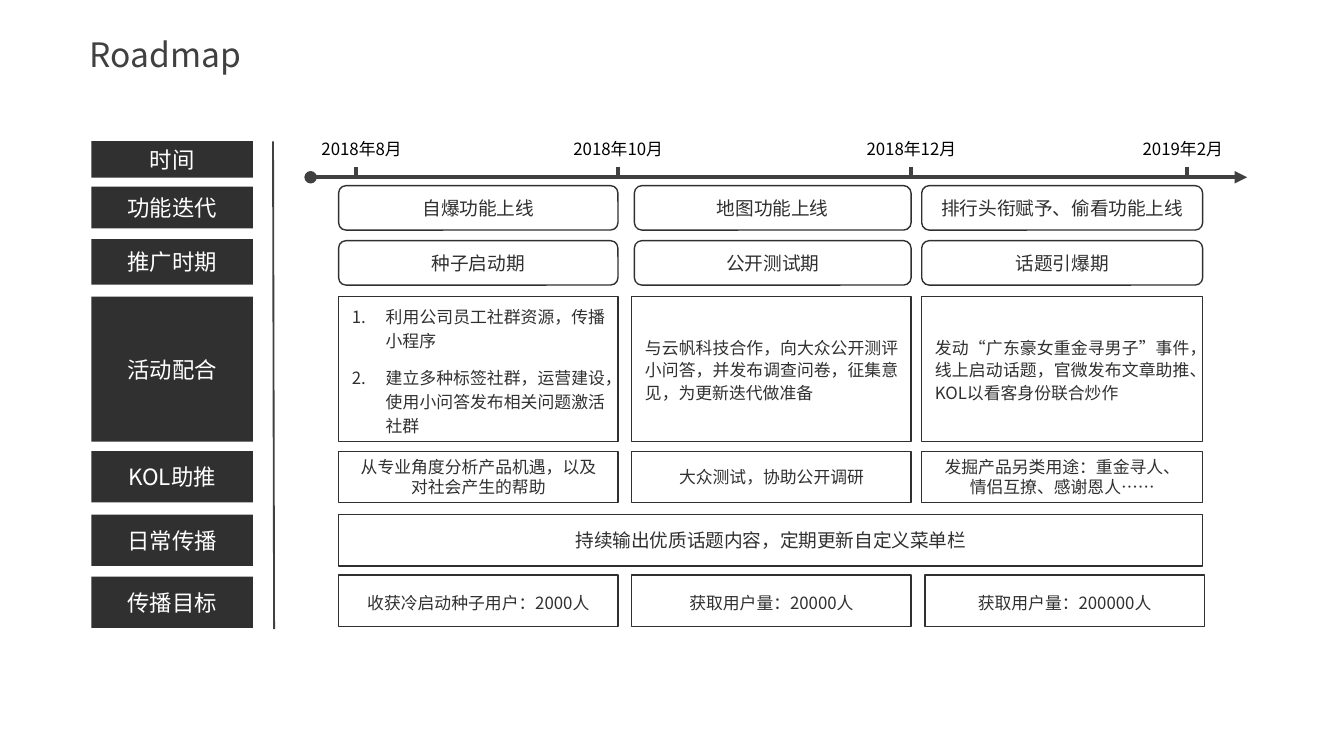
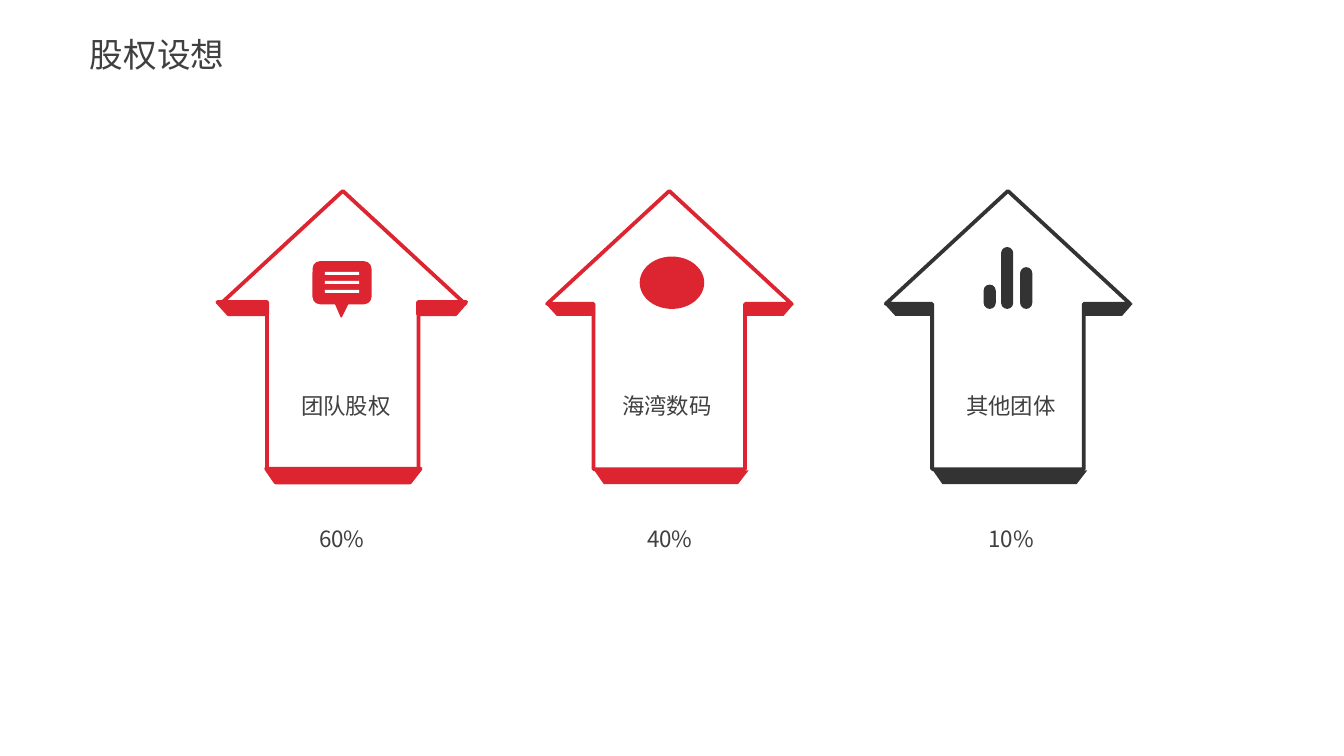
from lxml.etree import SubElement
from pptx import Presentation
from pptx.dml.color import RGBColor
from pptx.enum.shapes import MSO_CONNECTOR, MSO_SHAPE as SHAPE
from pptx.enum.text import MSO_ANCHOR as ANCHOR, PP_ALIGN as ALIGN
from pptx.oxml.ns import qn
from pptx.util import Cm, Pt

FONT = "Noto Sans CJK SC"
DARK, GREY, RED, CHARCOAL = "303030", "404040", "DD2431", "333333"
WHITE, BLACK = "FFFFFF", "000000"

# Roadmap: lengths in cm
LABEL_X, LABEL_W = 1.73, 3.05
COLUMNS = [(6.4, 5.28), (11.94, 5.28), (17.42, 5.31)]
ROUND_COLUMNS = [(6.4, 5.28), (11.99, 5.23), (17.42, 5.31)]
GOAL_COLUMNS = [(6.4, 5.28), (11.94, 5.28), (17.48, 5.28)]
FULL_WIDTH = [(6.4, 16.33)]

AXIS_Y = 3.35
MILESTONES = [  # tick x, date centre x, date
    (6.73, 6.83, "2018年8月"),
    (11.68, 11.68, "2018年10月"),
    (17.22, 17.22, "2018年12月"),
    (22.43, 22.35, "2019年2月"),
]

ROUNDED = dict(kind=SHAPE.ROUNDED_RECTANGLE, size=10)
PADDED = dict(insets=(0.38, 0.18))
ROWS = [  # label, label top and height, box top and height, columns, texts, format
    ("时间", (2.67, 0.69), None, [], [], {}),
    ("功能迭代", (3.53, 0.79), (3.51, 0.84), ROUND_COLUMNS,
     ["自爆功能上线", "地图功能上线", "排行头衔赋予、偷看功能上线"], ROUNDED),
    ("推广时期", (4.52, 0.86), (4.55, 0.84), ROUND_COLUMNS,
     ["种子启动期", "公开测试期", "话题引爆期"], ROUNDED),
    ("活动配合", (5.61, 2.74), (5.61, 2.74), COLUMNS,
     [["利用公司员工社群资源，传播小程序",
       "建立多种标签社群，运营建设，使用小问答发布相关问题激活社群"],
      "与云帆科技合作，向大众公开测评小问答，并发布调查问卷，征集意见，为更新迭代做准备",
      "发动“广东豪女重金寻男子”事件，线上启动话题，官微发布文章助推、KOL以看客身份联合炒作"],
     dict(align=ALIGN.JUSTIFY, spacing=1.1)),
    ("KOL助推", (8.53, 0.97), (8.53, 0.97), COLUMNS,
     ["从专业角度分析产品机遇，以及对社会产生的帮助", "大众测试，协助公开调研",
      "发掘产品另类用途：重金寻人、情侣互撩、感谢恩人……"], PADDED),
    ("日常传播", (9.73, 0.97), (9.73, 0.97), FULL_WIDTH,
     ["持续输出优质话题内容，定期更新自定义菜单栏"], dict(PADDED, size=10)),
    ("传播目标", (10.9, 0.97), (10.87, 0.97), GOAL_COLUMNS,
     ["收获冷启动种子用户：2000人", "获取用户量：20000人", "获取用户量：200000人"],
     dict(spacing=1.2)),
]

# Shares: arrow x, label x, percent x, label, percent, colour, facet outline
SHARES = [
    (4.17, 5.44, 4.01, "团队股权", "60%", RED, 2),
    (10.34, 11.51, 10.21, "海湾数码", "40%", RED, None),
    (16.74, 18.01, 16.66, "其他团体", "10%", CHARCOAL, None),
]
ARROW_Y, ARROW_W, ARROW_H = 3.61, 4.62, 5.26
FACETS = [  # thick undersides, measured from the arrow's corner
    [(3.76, 2.13), (4.67, 2.13), (4.47, 2.36), (3.76, 2.36)],
    [(-0.03, 2.13), (0.91, 2.13), (0.91, 2.36), (0.18, 2.36)],
    [(0.89, 5.28), (3.81, 5.28), (3.61, 5.54), (1.07, 5.54)],
]
BARS_BOTTOM = 5.84
BARS = [(18.59, 0.46), (18.92, 1.17), (19.28, 0.79)]


def rgb(color):
    return RGBColor.from_string(color)


def style(s, fill=None, line=None, width=0.75):
    s.shadow.inherit = False
    if fill:
        s.fill.solid()
        s.fill.fore_color.rgb = rgb(fill)
    else:
        s.fill.background()
    if line:
        s.line.color.rgb = rgb(line)
        s.line.width = Pt(width)
    else:
        s.line.fill.background()
    return s


def write(s, text, size=9, color=DARK, align=ALIGN.CENTER, anchor=ANCHOR.MIDDLE,
          insets=(0.25, 0.13), spacing=None, wrap=True):
    """Fill a shape with text; a list becomes numbered paragraphs."""
    tf = s.text_frame
    tf.word_wrap = wrap
    tf.vertical_anchor = anchor
    tf.margin_left = tf.margin_right = Cm(insets[0])
    tf.margin_top = tf.margin_bottom = Cm(insets[1])
    numbered = isinstance(text, list)
    for i, line in enumerate(text if numbered else [text]):
        p = tf.add_paragraph() if i else tf.paragraphs[0]
        if numbered:
            pPr = p._p.get_or_add_pPr()
            pPr.set("marL", str(Cm(0.64)))
            pPr.set("indent", str(-Cm(0.64)))
            SubElement(pPr, qn("a:buFont"), typeface="+mj-lt")
            SubElement(pPr, qn("a:buAutoNum"), type="arabicPeriod")
        p.alignment = align
        if spacing:
            p.line_spacing = 1.2 if numbered else spacing
        if i:
            p.space_before = Pt(6.5)
        r = p.add_run()
        r.text = line
        r.font.size = Pt(size)
        r.font.color.rgb = rgb(color)
        r.font.name = FONT
        SubElement(r._r.get_or_add_rPr(), qn("a:ea"), typeface=FONT)


def add_box(slide, x, y, w, h, kind=SHAPE.RECTANGLE, **look):
    s = slide.shapes.add_shape(kind, Cm(x), Cm(y), Cm(w), Cm(h))
    return style(s, **look)


def add_text(slide, x, y, w, h, text, **fmt):
    write(slide.shapes.add_textbox(Cm(x), Cm(y), Cm(w), Cm(h)), text, **fmt)


def add_line(slide, x1, y1, x2, y2, width, ends=None):
    c = slide.shapes.add_connector(MSO_CONNECTOR.STRAIGHT, Cm(x1), Cm(y1), Cm(x2), Cm(y2))
    c.line.color.rgb = rgb(GREY)
    c.line.width = Pt(width)
    if ends:
        ln = c.line._get_or_add_ln()
        for tag, end in zip(("a:headEnd", "a:tailEnd"), ends):
            SubElement(ln, qn(tag), type=end)
    SubElement(c._element.spPr, qn("a:effectLst"))


def add_polygon(slide, points, **look):
    points = [(Cm(x), Cm(y)) for x, y in points]
    fb = slide.shapes.build_freeform(*points[0])
    fb.add_line_segments(points[1:], close=True)
    return style(fb.convert_to_shape(), **look)


def add_slide(prs, title):
    slide = prs.slides.add_slide(prs.slide_layouts[6])
    add_text(slide, 1.7, 0.48, 10, 1.07, title, size=18, color=GREY,
             align=ALIGN.LEFT, insets=(0, 0.13))
    return slide


def build_roadmap(prs):
    slide = add_slide(prs, "Roadmap")
    add_line(slide, 5.87, AXIS_Y, 23.57, AXIS_Y, 2.25, ends=("oval", "triangle"))
    add_line(slide, 5.16, 2.67, 5.18, 11.89, 1)
    for tick_x, date_x, date in MILESTONES:
        add_line(slide, tick_x, AXIS_Y - 0.2, tick_x, AXIS_Y, 2.25)
        s = add_box(slide, date_x - 2.56, 2.54, 5.13, 0.53, SHAPE.ROUNDED_RECTANGLE)
        write(s, date, color=BLACK)
    for label, (y, h), span, columns, texts, fmt in ROWS:
        s = add_box(slide, LABEL_X, y, LABEL_W, h, fill=DARK)
        write(s, label, size=12, color=WHITE, insets=(0.3, 0.15))
        fmt = dict(fmt)
        kind = fmt.pop("kind", SHAPE.RECTANGLE)
        for (x, w), text in zip(columns, texts):
            s = add_box(slide, x, span[0], w, span[1], kind, line=DARK)
            write(s, text, **fmt)


def add_speech_icon(slide):
    look = dict(fill=RED, line=RED)
    add_polygon(slide, [(6.32, 5.69), (6.6, 5.69), (6.45, 5.99)], **look)
    add_box(slide, 5.92, 4.95, 1.09, 0.79, SHAPE.ROUNDED_RECTANGLE, **look)
    for i in range(3):
        add_box(slide, 6.14, 5.14 + 0.17 * i, 0.65, 0.06, fill=WHITE)


def add_bars_icon(slide):
    for x, h in BARS:
        s = add_box(slide, x, BARS_BOTTOM - h, 0.23, h, SHAPE.ROUNDED_RECTANGLE, fill=CHARCOAL)
        s.adjustments[0] = 0.5


def build_shares(prs):
    slide = add_slide(prs, "股权设想")
    for x, label_x, percent_x, label, percent, color, outline in SHARES:
        shift = 0.03 if outline else 0
        for facet in FACETS:
            points = [(x + dx - shift, ARROW_Y + dy - shift) for dx, dy in facet]
            add_polygon(slide, points, fill=color, line=color if outline else None,
                        width=outline)
        s = add_box(slide, x, ARROW_Y, ARROW_W, ARROW_H, SHAPE.UP_ARROW, line=color, width=2)
        s.adjustments[0], s.adjustments[1] = 0.62, 0.462
        fmt = dict(size=12, color=GREY, anchor=ANCHOR.TOP)
        add_text(slide, label_x, 7.29, 2.21, 0.76, label, align=ALIGN.LEFT, wrap=False, **fmt)
        add_text(slide, percent_x, 9.8, 4.9, 0.76, percent, **fmt)
    add_speech_icon(slide)
    add_box(slide, 12.09, 4.85, 1.22, 0.99, SHAPE.OVAL, fill=RED)
    add_bars_icon(slide)


def main():
    prs = Presentation()
    prs.slide_width, prs.slide_height = Cm(25.4), Cm(14.29)
    build_roadmap(prs)
    build_shares(prs)
    prs.save("out.pptx")


if __name__ == "__main__":
    main()
